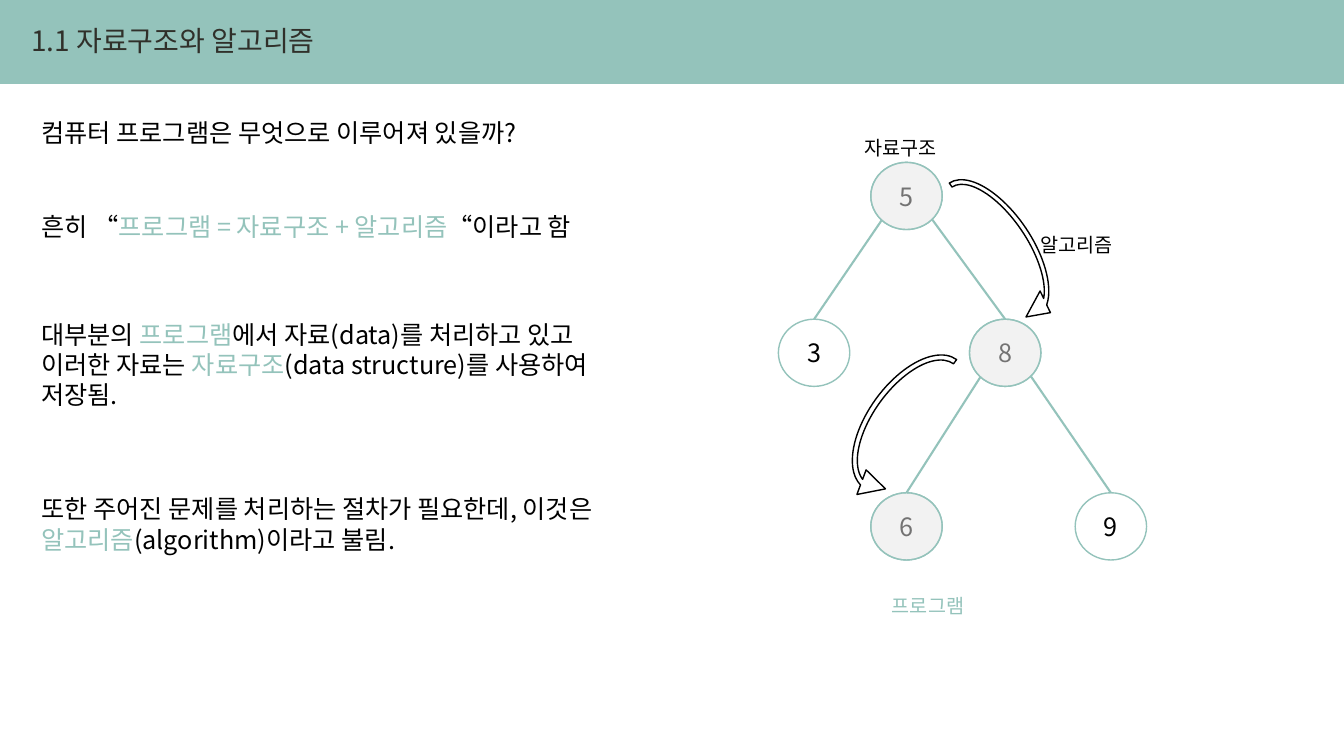
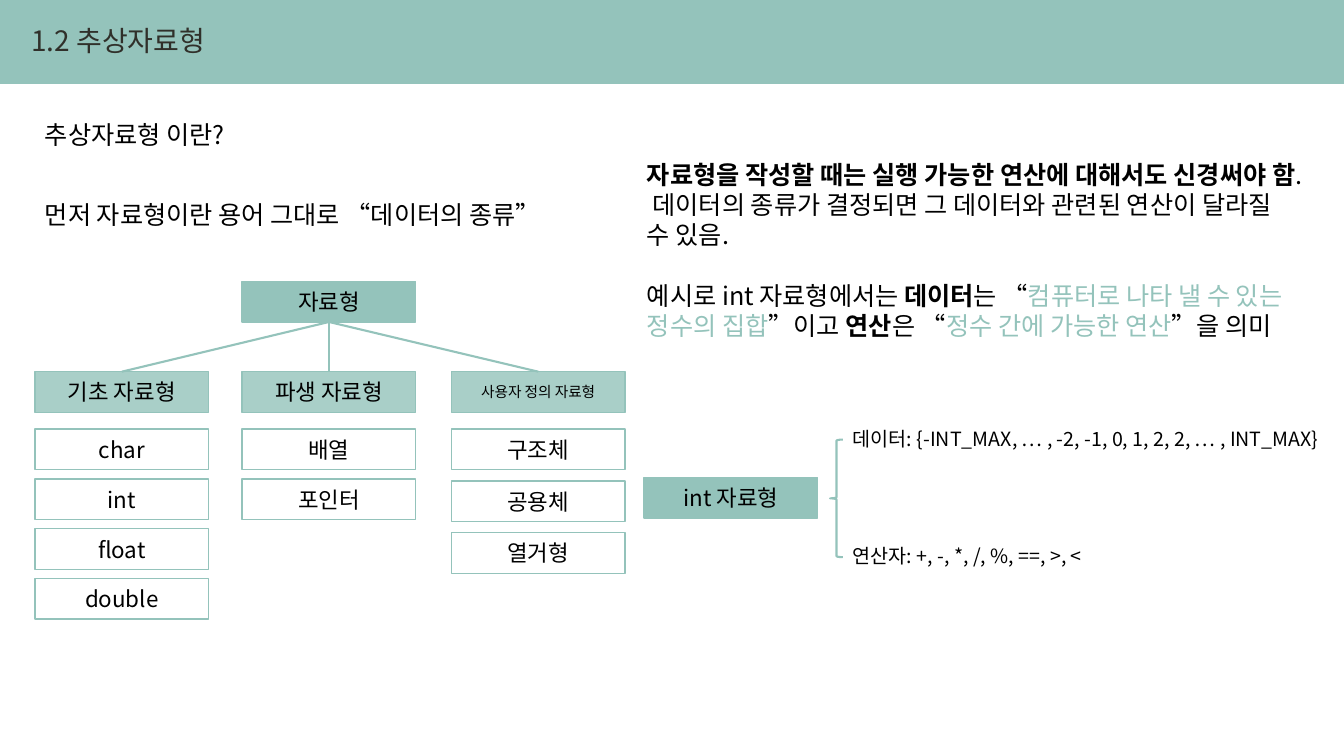
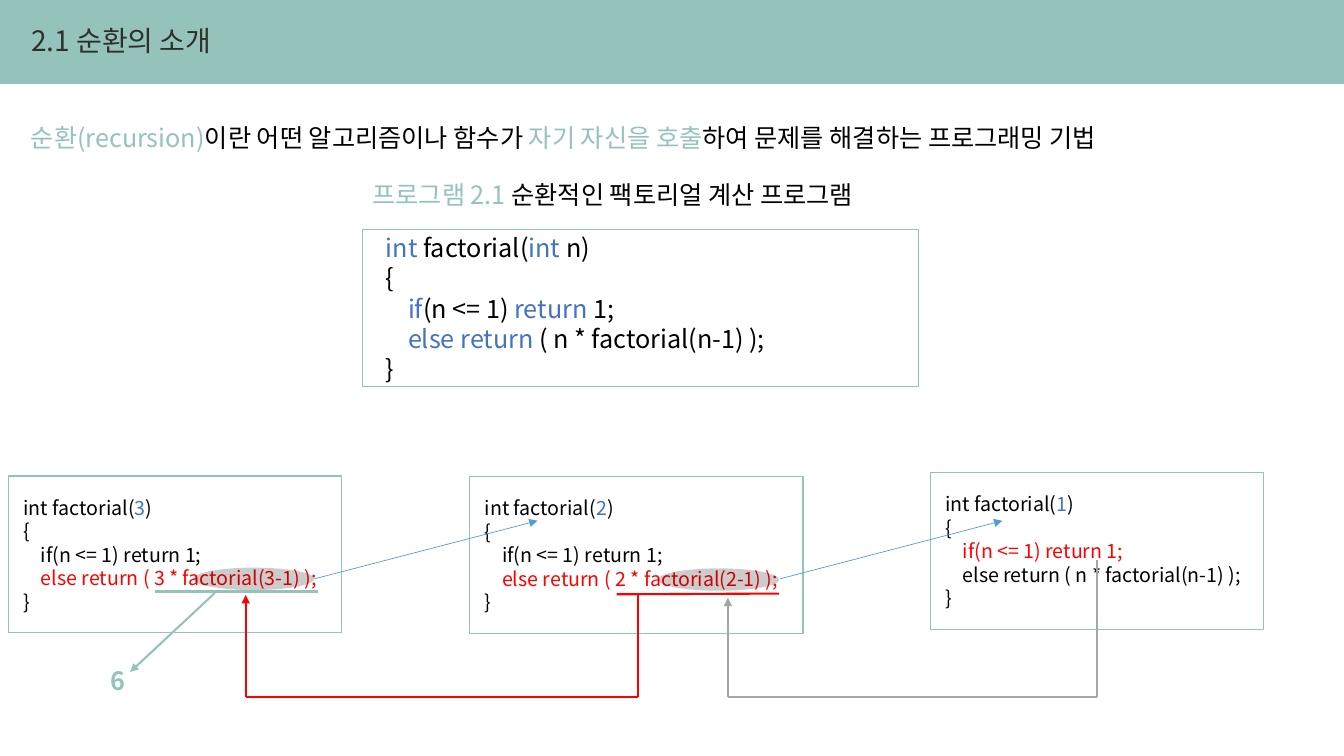
import pptx
import pptx.dml.color
import pptx.enum.shapes
import pptx.enum.text
import pptx.oxml.ns
import pptx.util
import lxml.etree

Pt = pptx.util.Pt
qn = pptx.oxml.ns.qn
shape_types = pptx.enum.shapes.MSO_SHAPE
alignments = pptx.enum.text.PP_ALIGN
anchors = pptx.enum.text.MSO_ANCHOR

FONT = "Noto Sans CJK KR"
colors = {
    "accent": "94C3BB",
    "title": "30302A",
    "text": "000000",
    "white": "FFFFFF",
    "visited": "E7E6E6",
    "keyword": "4472C4",
    "active": "FF0000",
    "call": "5B9BD5",
    "return": "A5A5A5",
}
rgb = {name: pptx.dml.color.RGBColor.from_string(value) for name, value in colors.items()}


def write_text(text_frame, paragraphs, size, align=alignments.LEFT, gap=0, **frame_format):
    for name, value in {"word_wrap": True, **frame_format}.items():
        setattr(text_frame, name, value)
    for index, runs in enumerate(paragraphs):
        paragraph = text_frame.add_paragraph() if index else text_frame.paragraphs[0]
        paragraph.alignment = align
        if index and gap:
            paragraph.space_before = Pt(gap)
        for content, color, *style in runs:
            if content == "indent":
                paragraph._p.get_or_add_pPr().set("marL", str(Pt(size * 0.88)))
                continue
            run = paragraph.add_run()
            run.text = content
            for name, value in {"name": FONT, "size": Pt(size), "bold": "bold" in style}.items():
                setattr(run.font, name, value)
            run.font.color.rgb = rgb[color]
            lxml.etree.SubElement(run._r.get_or_add_rPr(), qn("a:ea"), typeface=FONT)


def draw_shape(slide, kind, box, fill=None, line="accent", width=1, opacity=100):
    shape = slide.shapes.add_shape(kind, *[Pt(value) for value in box])
    shape.shadow.inherit = False
    if fill:
        shape.fill.solid()
        shape.fill.fore_color.rgb = rgb[fill]
        if opacity < 100:
            color_element = shape.element.spPr.find(qn("a:solidFill"))[0]
            lxml.etree.SubElement(color_element, qn("a:alpha"), val=str(opacity * 1000))
    else:
        shape.fill.background()
    if line:
        shape.line.color.rgb = rgb[line]
        shape.line.width = Pt(width)
    else:
        shape.line.fill.background()
    return shape


presentation = pptx.Presentation()
presentation.slide_width = Pt(960)
presentation.slide_height = Pt(540)

layout = presentation.slide_layouts[5]
layout.background.fill.solid()
layout.background.fill.fore_color.rgb = rgb["accent"]
for placeholder in list(layout.placeholders):
    if placeholder.placeholder_format.idx:
        placeholder.element.getparent().remove(placeholder.element)
title_box = {"left": Pt(15), "top": Pt(13), "width": Pt(640), "height": Pt(32)}

slides = []
for title in ["1.1 자료구조와 알고리즘", "1.2 추상자료형", "2.1 순환의 소개"]:
    slide = presentation.slides.add_slide(layout)
    for name, value in title_box.items():
        setattr(slide.shapes.title, name, value)
    write_text(slide.shapes.title.text_frame, [[(title, "title")]], 20,
               vertical_anchor=anchors.TOP, auto_size=pptx.enum.text.MSO_AUTO_SIZE.NONE)
    slides.append(slide)
structure_slide, type_slide, recursion_slide = slides

body = draw_shape(structure_slide, shape_types.RECTANGLE, (0, 60, 960, 480), "white", None)
layout.shapes.element.insert(2, body.element)

text_boxes = [
    (structure_slide, (22.5, 80.5, 447, 29), 18, [[("컴퓨터 프로그램은 무엇으로 이루어져 있을까?", "text")]]),
    (structure_slide, (22.5, 147.5, 447, 29), 18, [[
        ("흔히 “", "text"), ("프로그램 = 자료구조 + 알고리즘", "accent"), ("“이라고 함", "text")]]),
    (structure_slide, (22.5, 224.5, 447, 73), 18, [[
        ("대부분의 ", "text"), ("프로그램", "accent"),
        ("에서 자료(data)를 처리하고 있고 이러한 자료는 ", "text"), ("자료구조", "accent"),
        ("(data structure)를 사용하여 저장됨.", "text")]]),
    (structure_slide, (22.5, 349, 447, 51), 18, [[
        ("또한 주어진 문제를 처리하는 절차가 필요한데, 이것은 ", "text"), ("알고리즘", "accent"),
        ("(algorithm)이라고 불림.", "text")]]),
    (structure_slide, (610.5, 93.5, 99, 24), 14, [[("자료구조", "text")]]),
    (structure_slide, (736, 162.5, 99, 24), 14, [[("알고리즘", "text")]]),
    (structure_slide, (630, 420.5, 99, 24), 14, [[("프로그램", "accent")]]),
    (type_slide, (25, 81.5, 389, 29), 18, [[("추상자료형 이란?", "text")]]),
    (type_slide, (25, 139, 389, 29), 18, [[("먼저 자료형이란 용어 그대로 “데이터의 종류”", "text")]]),
    (type_slide, (455, 110, 480, 160), 18, [
        [("자료형을 작성할 때는 실행 가능한 연산에 대해서도 신경써야 함", "text", "bold"),
         (". 데이터의 종류가 결정되면 그 데이터와 관련된 연산이 달라질 수 있음.", "text")],
        [("예시로 int 자료형에서는 ", "text"), ("데이터", "text", "bold"), ("는 “", "text"),
         ("컴퓨터로 나타 낼 수 있는 정수의 집합", "accent"), ("”이고 ", "text"),
         ("연산", "text", "bold"), ("은 “", "text"), ("정수 간에 가능한 연산", "accent"),
         ("”을 의미", "text")]]),
    (type_slide, (602, 301.5, 358, 24), 14,
     [[("데이터: {-INT_MAX, … , -2, -1, 0, 1, 2, 2, … , INT_MAX}", "text")]]),
    (type_slide, (602, 385, 358, 24), 14, [[("연산자: +, -, *, /, %, ==, >, <", "text")]]),
    (recursion_slide, (15, 84, 884, 29), 18, [[
        ("순환(recursion)", "accent"), ("이란 어떤 알고리즘이나 함수가 ", "text"),
        ("자기 자신을 호출", "accent"), ("하여 문제를 해결하는 프로그래밍 기법", "text")]]),
    (recursion_slide, (259, 124.5, 474, 29), 18, [[
        ("프로그램 2.1 ", "accent"), ("순환적인 팩토리얼 계산 프로그램", "text")]]),
    (recursion_slide, (72, 472, 35, 29), 18, [[("6", "accent", "bold")]]),
]
for slide, box, size, paragraphs in text_boxes:
    text_box = slide.shapes.add_textbox(*[Pt(value) for value in box])
    write_text(text_box.text_frame, paragraphs, size, gap=21.6)

routes = []

nodes = {"5": (622, 116), "3": (556, 228), "8": (692.5, 228), "9": (768, 352), "6": (622, 352)}
for value, position in nodes.items():
    box = (*position, 51, 48)
    node = draw_shape(structure_slide, shape_types.OVAL, box, "white")
    write_text(node.text_frame, [[(value, "text")]], 18, alignments.CENTER)
    if value in "586":
        draw_shape(structure_slide, shape_types.OVAL, box, "visited", opacity=50)
for parent, child, offset in [("5", "3", 8), ("5", "8", 44), ("8", "6", 8), ("8", "9", 44)]:
    start = (nodes[parent][0] + offset, nodes[parent][1] + 41)
    end = (nodes[child][0] + 25.5, nodes[child][1])
    routes.append((structure_slide, [start, end], "accent", 1.5, False))

for box, rotation, sweep, flipped in [
    ((586, 265, 128, 75), 126.1, 213.93, True),
    ((646, 144, 128, 68.5), 56.1, 209.68, False),
]:
    arrow = draw_shape(structure_slide, shape_types.CIRCULAR_ARROW, box, "white", "text")
    arrow.rotation = rotation
    arrow.adjustments[0] = 0.05
    arrow.adjustments[2] = sweep
    if flipped:
        arrow.element.spPr.xfrm.set("flipV", "1")

box_width, box_height = 124, 29
type_boxes = [("자료형", 173, 201, 16, "accent", 100), ("int 자료형", 460, 341, 16, "accent", 100)]
for left, step, category, category_size, members in [
    (25, 35.6, "기초 자료형", 16, ["char", "int", "float", "double"]),
    (173, 35.6, "파생 자료형", 16, ["배열", "포인터"]),
    (322.5, 37, "사용자 정의 자료형", 10.5, ["구조체", "공용체", "열거형"]),
]:
    type_boxes.append((category, left, 265.5, category_size, "accent", 80))
    for index, member in enumerate(members):
        type_boxes.append((member, left, 306.5 + index * step, 16, "white", 100))
    routes.append((type_slide, [(235, 230), (left + box_width / 2, 265.5)], "accent", 1.5, False))
for label, left, top, size, fill, opacity in type_boxes:
    box = (left, top, box_width, box_height)
    shape = draw_shape(type_slide, shape_types.RECTANGLE, box, fill, opacity=opacity)
    write_text(shape.text_frame, [[(label, "text")]], size, alignments.CENTER)
draw_shape(type_slide, shape_types.LEFT_BRACE, (593, 314, 9, 84), width=1.5)

indent = ("indent", None)
listings = [((259, 164, 397, 112), 18, 16.6, [
    [("int", "keyword"), (" factorial(", "text"), ("int", "keyword"), (" n)", "text")],
    [("{", "text")],
    [indent, ("if", "keyword"), ("(n <= 1) ", "text"), ("return", "keyword"), (" 1;", "text")],
    [indent, ("else return", "keyword"), (" ( n * factorial(n-1) );", "text")],
    [("}", "text")],
])]
for argument, left, top, factor, base_color, step_color in [
    ("3", 6, 340, "3", "text", "active"),
    ("2", 335.5, 340.5, "2", "text", "active"),
    ("1", 664.5, 337.5, "n", "active", "text"),
]:
    listings.append(((left, top, 238, 112), 14, 10.8, [
        [("int factorial(", "text"), (argument, "keyword"), (")", "text")],
        [("{", "text")],
        [indent, ("if(n <= 1) return 1;", base_color)],
        [indent, (f"else return ( {factor} * factorial({factor}-1) );", step_color)],
        [("}", "text")],
    ]))
for box, size, margin, paragraphs in listings:
    panel = draw_shape(recursion_slide, shape_types.RECTANGLE, box)
    write_text(panel.text_frame, paragraphs, size, margin_left=Pt(margin), margin_right=0,
               vertical_anchor=anchors.MIDDLE)
for left, top in [(138, 405.5), (470, 406)]:
    draw_shape(recursion_slide, shape_types.OVAL, (left, top, 86.5, 16), "text", None, opacity=20)

routes += [
    (recursion_slide, [(224.5, 413.5), (384, 372)], "call", 0.5, True),
    (recursion_slide, [(557, 413.5), (716, 372)], "call", 0.5, True),
    (recursion_slide, [(783.5, 400), (783.5, 498), (520, 498), (520, 427)], "return", 1.5, True),
    (recursion_slide, [(440.5, 424.5), (556.5, 424)], "active", 1.5, False),
    (recursion_slide, [(456, 424), (456, 498), (175.5, 498), (175.5, 425)], "active", 1.5, True),
    (recursion_slide, [(111, 422.5), (227.5, 422.5)], "accent", 1.5, False),
    (recursion_slide, [(153.5, 423.5), (93, 480)], "accent", 1.5, True),
]
for slide, points, color, width, has_arrow in routes:
    for start, end in zip(points, points[1:]):
        connector = slide.shapes.add_connector(
            pptx.enum.shapes.MSO_CONNECTOR.STRAIGHT, *[Pt(value) for value in start + end])
        connector.line.color.rgb = rgb[color]
        connector.line.width = Pt(width)
        properties = connector.element.spPr
        if has_arrow and end == points[-1]:
            lxml.etree.SubElement(properties.find(qn("a:ln")), qn("a:tailEnd"), type="triangle")
        lxml.etree.SubElement(properties, qn("a:effectLst"))

presentation.save("out.pptx")
